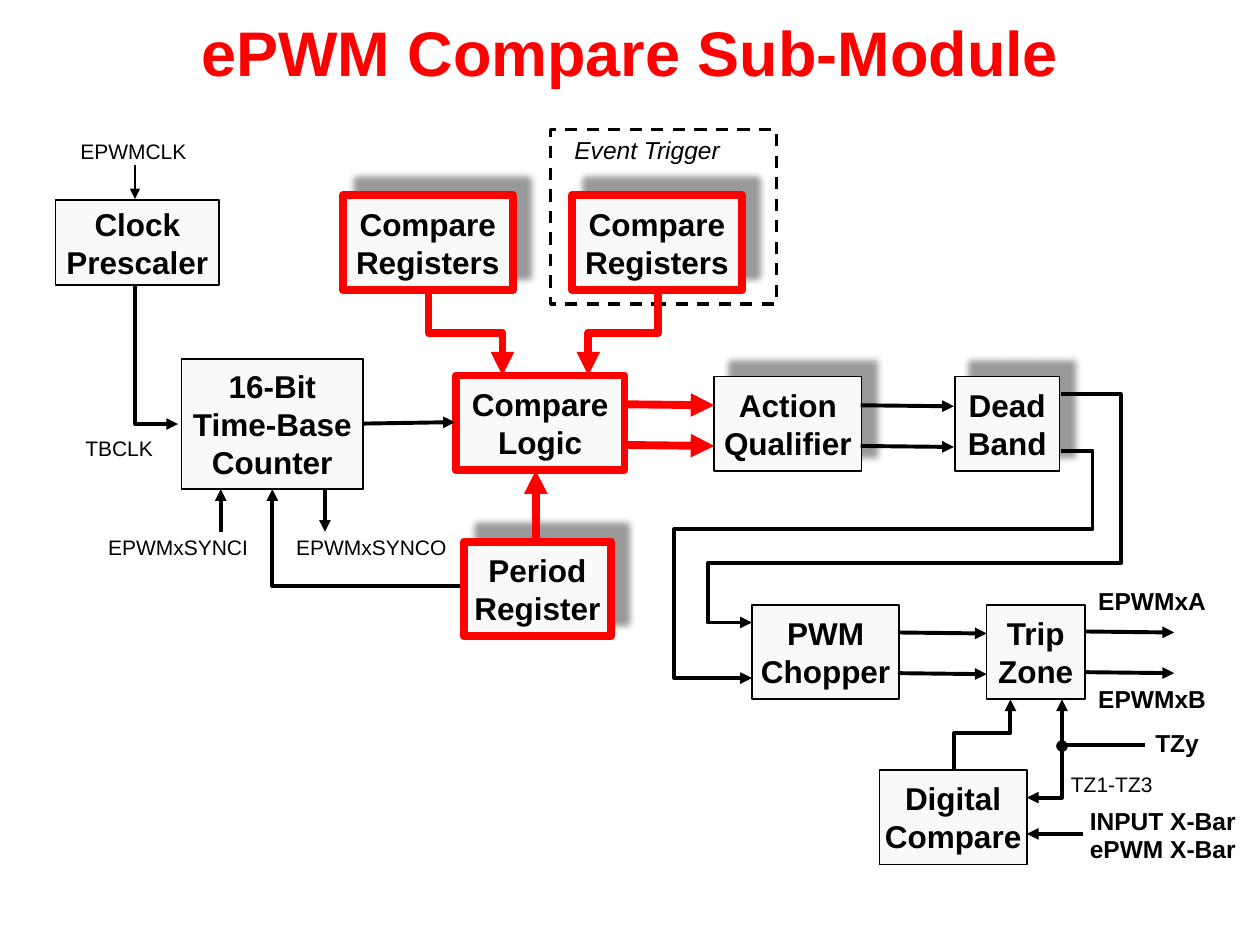
from lxml import etree
from pptx import Presentation, util as u
from pptx.dml.color import RGBColor
from pptx.enum import dml, shapes, text
from pptx.oxml.ns import qn

BLACK = RGBColor(0, 0, 0)
RED = RGBColor(0xFF, 0, 0)
PALE = RGBColor(0xF9, 0xF9, 0xF9)
THIN, MEDIUM, THICK = 1, 2.25, 4.5


class Diagram:
    font = "Arial"

    def __init__(self, slide):
        self.slide = slide

    def format_text(self, frame, size, color=BLACK, bold=False, italic=False):
        for paragraph in frame.paragraphs:
            for run in paragraph.runs:
                run.font.name = self.font
                run.font.size = u.Pt(size)
                run.font.bold = bold
                run.font.italic = italic
                run.font.color.rgb = color

    def title(self, words):
        heading = self.slide.shapes.title
        heading.left, heading.top = u.Cm(0), u.Cm(0)
        heading.width, heading.height = u.Cm(25.4), u.Cm(2.06)
        heading.text_frame.text = words
        heading.text_frame.vertical_anchor = text.MSO_ANCHOR.MIDDLE
        heading.text_frame.paragraphs[0].alignment = text.PP_ALIGN.CENTER
        self.format_text(heading.text_frame, 36, RED, bold=True)

    def rectangle(self, left, top, width, height, color, weight):
        shape = self.slide.shapes.add_shape(
            shapes.MSO_SHAPE.RECTANGLE, *map(u.Cm, (left, top, width, height)))
        shape.shadow.inherit = False
        shape.line.color.rgb = color
        shape.line.width = u.Pt(weight)
        return shape

    def dashed_frame(self, left, top, width, height):
        frame = self.rectangle(left, top, width, height, BLACK, 1.75)
        frame.fill.background()
        frame.line.dash_style = dml.MSO_LINE.DASH

    def block(self, words, left, top, width, height=1.91, active=False, raised=False):
        color, weight = (RED, THICK) if active else (BLACK, THIN)
        shape = self.rectangle(left, top, width, height, color, weight)
        shape.fill.solid()
        shape.fill.fore_color.rgb = PALE
        frame = shape.text_frame
        frame.text = words
        frame.word_wrap = False
        frame.vertical_anchor = text.MSO_ANCHOR.MIDDLE
        frame.margin_left = frame.margin_right = u.Cm(0)
        for paragraph in frame.paragraphs:
            paragraph.alignment = text.PP_ALIGN.CENTER
        self.format_text(frame, 18, bold=True)
        if raised:
            effects = shape._element.spPr.find(qn("a:effectLst"))
            shadow = etree.SubElement(
                effects, qn("a:outerShdw"), blurRad=str(u.Pt(4)),
                dist=str(u.Pt(12)), dir="18900000", rotWithShape="0")
            tint = etree.SubElement(shadow, qn("a:srgbClr"), val=str(BLACK))
            etree.SubElement(tint, qn("a:alpha"), val="40000")

    def label(self, words, left, top, width, height=0.66, size=12,
              bold=False, italic=False, spacing=0.8):
        frame = self.slide.shapes.add_textbox(
            *map(u.Cm, (left, top, width, height))).text_frame
        frame.text = words
        frame.word_wrap = False
        frame.auto_size = text.MSO_AUTO_SIZE.SHAPE_TO_FIT_TEXT
        for index, paragraph in enumerate(frame.paragraphs):
            paragraph.line_spacing = spacing
            if index:
                paragraph.space_before = u.Pt(3)
        self.format_text(frame, size, bold=bold, italic=italic)

    def stroke(self, shape, color, weight, head, tail):
        shape.line.color.rgb = color
        shape.line.width = u.Pt(weight)
        outline = shape.line._get_or_add_ln()
        for tag, end in (("a:headEnd", head), ("a:tailEnd", tail)):
            if end:
                etree.SubElement(outline, qn(tag), type=end)

    def connect(self, kind, start, end, color, weight):
        line = self.slide.shapes.add_connector(kind, *map(u.Cm, (*start, *end)))
        self.stroke(line, color, weight, None, "triangle")
        etree.SubElement(line._element.spPr, qn("a:effectLst"))
        return line

    def arrow(self, start, end, color=BLACK, weight=MEDIUM):
        self.connect(shapes.MSO_CONNECTOR.STRAIGHT, start, end, color, weight)

    def elbow(self, start, end, preset, turn=0, bends=()):
        line = self.connect(shapes.MSO_CONNECTOR.ELBOW, start, end, BLACK, MEDIUM)
        properties = line._element.spPr
        properties.find(qn("a:xfrm")).set("rot", str(turn * 60000))
        geometry = properties.find(qn("a:prstGeom"))
        geometry.set("prst", preset)
        guides = geometry.find(qn("a:avLst"))
        for number, bend in enumerate(bends, 1):
            etree.SubElement(guides, qn("a:gd"), name=f"adj{number}",
                             fmla=f"val {bend}")

    def route(self, points, color=BLACK, weight=MEDIUM, head=None, tail="triangle"):
        corners = [(u.Cm(x), u.Cm(y)) for x, y in points]
        builder = self.slide.shapes.build_freeform(*corners[0])
        builder.add_line_segments(corners[1:], close=False)
        path = builder.convert_to_shape()
        path.shadow.inherit = False
        path.fill.background()
        self.stroke(path, color, weight, head, tail)


def main():
    deck = Presentation()
    deck.slide_width, deck.slide_height = u.Cm(25.4), u.Cm(19.05)
    diagram = Diagram(deck.slides.add_slide(deck.slide_layouts[5]))

    diagram.title("ePWM Compare Sub-Module")
    diagram.dashed_frame(11.1, 2.62, 4.55, 3.51)

    diagram.elbow((5.49, 9.86), (9.47, 11.81), "bentConnector2", 180)
    diagram.block("16-Bit\nTime-Base\nCounter", 3.66, 7.24, 3.66, 2.62)
    diagram.block("Compare\nLogic", 9.19, 7.57, 3.4, active=True)
    diagram.block("Action\nQualifier", 14.4, 7.59, 2.97, raised=True)
    diagram.block("Dead\nBand", 19.25, 7.59, 2.11, raised=True)
    diagram.block("PWM\nChopper", 15.16, 12.19, 2.97)
    diagram.block("Trip\nZone", 19.89, 12.19, 1.98)
    diagram.block("Period\nRegister", 9.35, 10.92, 2.97, active=True, raised=True)
    diagram.block("Clock\nPrescaler", 1.12, 4.04, 3.3, 1.7)
    diagram.block("Digital\nCompare", 17.73, 15.52, 2.97)
    for left in (6.91, 11.53):
        diagram.block("Compare\nRegisters", left, 3.94, 3.43, active=True, raised=True)

    diagram.elbow((4.57, 6.71), (1.75, 7.57), "bentConnector2", 270)
    diagram.elbow((21.39, 9.09), (15.16, 13.67), "bentConnector5",
                  bends=(-10200, 34400, 125200))
    diagram.elbow((21.39, 7.95), (15.16, 12.55), "bentConnector5",
                  bends=(-19400, 74000, 114300))

    signal_pairs = (
        (12.6, 14.4, 8.15, RED, THICK),
        (17.35, 19.23, 8.17, BLACK, MEDIUM),
        (18.1, 19.89, 12.75, BLACK, MEDIUM),
        (21.87, 23.67, 12.73, BLACK, MEDIUM),
    )
    for start, end, top, color, weight in signal_pairs:
        for y in (top, top + 0.82):
            diagram.arrow((start, y), (end, y + 0.02), color, weight)

    diagram.arrow((7.32, 8.54), (9.17, 8.51))
    diagram.arrow((10.8, 10.95), (10.8, 9.48), RED, THICK)
    diagram.arrow((4.45, 10.72), (4.45, 9.86))
    diagram.arrow((6.55, 9.86), (6.55, 10.72))
    diagram.arrow((21.84, 16.81), (20.7, 16.81))
    diagram.arrow((2.72, 3.33), (2.72, 4.01), weight=THIN)

    diagram.route([(21.41, 15.04), (21.41, 16.08), (20.7, 16.08)], head="oval")
    diagram.route([(19.23, 15.5), (19.23, 14.78), (20.37, 14.78), (20.37, 14.1)])
    diagram.route([(21.41, 14.1), (21.41, 15.01), (23.09, 15.01)],
                  head="triangle", tail=None)
    for register, logic in ((8.64, 10.13), (13.26, 11.86)):
        diagram.route([(register, 5.82), (register, 6.71), (logic, 6.71),
                       (logic, 7.57)], RED, THICK)

    diagram.label("Event Trigger", 11.33, 2.59, 3.48, 0.86, 14, italic=True, spacing=1)
    diagram.label("EPWMCLK", 1.37, 2.77, 2.67)
    diagram.label("TBCLK", 1.47, 8.76, 1.88)
    diagram.label("EPWMxSYNCI", 1.93, 10.74, 3.33)
    diagram.label("EPWMxSYNCO", 5.72, 10.74, 3.56)
    diagram.label("TZ1-TZ3", 21.34, 15.52, 2.18)
    diagram.label("EPWMxA", 21.89, 11.81, 2.69, 0.74, 14, bold=True)
    diagram.label("EPWMxB", 21.89, 13.77, 2.69, 0.74, 14, bold=True)
    diagram.label("TZy", 23.04, 14.66, 1.4, 0.74, 14, bold=True)
    diagram.label("INPUT X-Bar\nePWM X-Bar", 21.72, 16.23, 3.48, 1.32, 14, bold=True)

    deck.save("out.pptx")


if __name__ == "__main__":
    main()
